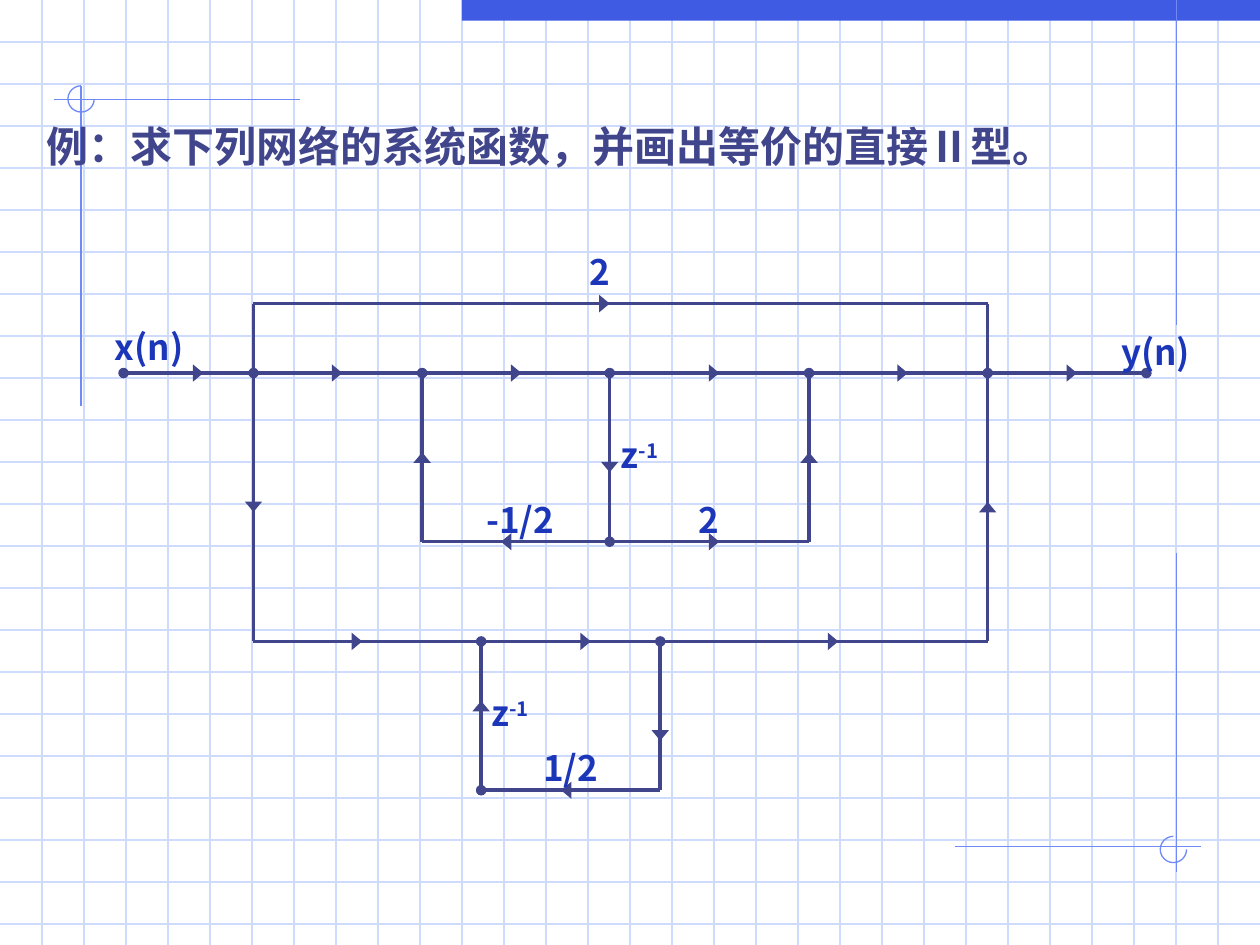
from dataclasses import dataclass

from lxml import etree
from pptx import Presentation
from pptx import util as u
from pptx.dml.color import RGBColor
from pptx.enum import shapes, text
from pptx.oxml.ns import qn

GRID_BLUE = RGBColor(0xCF, 0xDB, 0xFD)
ORNAMENT_BLUE = RGBColor(0x6F, 0x89, 0xF7)
BAR_BLUE = RGBColor(0x3F, 0x5A, 0xE3)
INK = RGBColor(0x40, 0x45, 0x8C)
LABEL_BLUE = RGBColor(0x1C, 0x36, 0xBA)
CJK_FONT = "Noto Sans CJK SC"

# Slide and grid, in centimetres
WIDTH, HEIGHT = 25.4, 19.05
GRID_STEP = 2.54 / 3

# Columns and rows of the signal-flow graph
X_IN, X_SPLIT, X_LEFT, X_MID, X_RIGHT, X_SUM, X_OUT = (
    2.49, 5.11, 8.51, 12.29, 16.31, 19.91, 23.11)
X_LOOP_LEFT, X_LOOP_RIGHT = 9.7, 13.31
Y_TOP, Y_MAIN, Y_INNER, Y_LOWER, Y_LOOP = 6.12, 7.52, 10.92, 12.93, 15.93
ARROW_LENGTH = 0.6


@dataclass
class Line:
    x1: float
    y1: float
    x2: float
    y2: float
    head: str = ""
    tail: str = ""


@dataclass
class Arrow:
    """A direction mark ending at (x, y); dx and dy give its direction."""
    x: float
    y: float
    dx: int = 0
    dy: int = 0


@dataclass
class Label:
    words: str
    left: float
    top: float
    width: float = 2.79
    superscript: str = ""


def draw_line(slide, line: Line, color: RGBColor, points: float = 0.75) -> None:
    shape = slide.shapes.add_connector(
        shapes.MSO_CONNECTOR.STRAIGHT,
        *(u.Cm(value) for value in (line.x1, line.y1, line.x2, line.y2)))
    shape.line.color.rgb = color
    shape.line.width = u.Pt(points)
    for tag, kind in (("a:headEnd", line.head), ("a:tailEnd", line.tail)):
        if kind:
            width = "lg" if kind == "triangle" else "med"
            etree.SubElement(shape.line._get_or_add_ln(), qn(tag),
                             type=kind, w=width, len="med")
    etree.SubElement(shape._element.spPr, qn("a:effectLst"))


def draw_arrow(slide, arrow: Arrow) -> None:
    start_x = arrow.x - arrow.dx * ARROW_LENGTH
    start_y = arrow.y - arrow.dy * ARROW_LENGTH
    draw_line(slide, Line(start_x, start_y, arrow.x, arrow.y, tail="triangle"), INK)


def draw_arc(slide, left: float, top: float) -> None:
    shape = slide.shapes.add_shape(
        shapes.MSO_SHAPE.ARC, u.Cm(left), u.Cm(top), u.Cm(0.53), u.Cm(0.53))
    shape.shadow.inherit = False
    shape.adjustments[0] = 0
    shape.adjustments[1] = 162  # 270 degrees in units of 100000 / 60000
    shape.fill.background()
    shape.line.color.rgb = ORNAMENT_BLUE
    shape.line.width = u.Pt(0.75)


def add_frame(slide, left: float, top: float, width: float, height: float):
    shape = slide.shapes.add_textbox(*(u.Cm(v) for v in (left, top, width, height)))
    shape.text_frame.word_wrap = True
    return shape.text_frame


def add_run(paragraph, words: str, color: RGBColor, size: float, name: str = CJK_FONT):
    run = paragraph.add_run()
    run.text = words
    formats = {"size": u.Pt(size), "bold": True, "name": name}
    for attribute, value in formats.items():
        setattr(run.font, attribute, value)
    run.font.color.rgb = color
    etree.SubElement(run._r.get_or_add_rPr(), qn("a:ea"), typeface=CJK_FONT)
    return run


def draw_label(slide, label: Label) -> None:
    frame = add_frame(slide, label.left, label.top, label.width, 1.12)
    frame.auto_size = text.MSO_AUTO_SIZE.SHAPE_TO_FIT_TEXT
    paragraph = frame.paragraphs[0]
    paragraph.alignment = text.PP_ALIGN.CENTER
    add_run(paragraph, label.words, LABEL_BLUE, 20)
    if label.superscript:
        run = add_run(paragraph, label.superscript, LABEL_BLUE, 20)
        run._r.get_or_add_rPr().set("baseline", "30000")


ORNAMENT_LINES = [
    Line(6.05, 2, 1.09, 2), Line(1.63, 1.73, 1.63, 8.18),
    Line(23.71, 0, 23.71, 6.55),
    Line(24.21, 17.07, 19.25, 17.07), Line(23.71, 11.15, 23.71, 17.58),
]
BRANCHES = [
    Line(X_IN, Y_MAIN, X_OUT, Y_MAIN, "oval", "oval"),
    # Upper path
    Line(X_SPLIT, Y_MAIN, X_SPLIT, Y_TOP),
    Line(X_SPLIT, Y_TOP, X_SUM, Y_TOP),
    Line(X_SUM, Y_TOP, X_SUM, Y_MAIN),
    # Lower path
    Line(X_SPLIT, Y_MAIN, X_SPLIT, Y_LOWER, "oval"),
    Line(X_SPLIT, Y_LOWER, X_SUM, Y_LOWER),
    Line(X_SUM, Y_MAIN, X_SUM, Y_LOWER, "oval"),
    # Inner section
    Line(X_LEFT, Y_MAIN, X_LEFT, Y_INNER, "oval"),
    Line(X_LEFT, Y_INNER, X_RIGHT, Y_INNER),
    Line(X_RIGHT, Y_INNER, X_RIGHT, Y_MAIN, tail="oval"),
    Line(X_MID, Y_INNER, X_MID, Y_MAIN, "oval", "oval"),
    # Lower feedback loop
    Line(X_LOOP_LEFT, Y_LOWER, X_LOOP_LEFT, Y_LOOP, "oval", "oval"),
    Line(X_LOOP_RIGHT, Y_LOWER, X_LOOP_RIGHT, Y_LOOP, "oval"),
    Line(X_LOOP_LEFT, Y_LOOP, X_LOOP_RIGHT, Y_LOOP),
]
ARROWS = [
    *(Arrow(x, Y_MAIN, dx=1) for x in (4.1, 6.9, 10.51, 14.5, 18.3, 21.71)),
    *(Arrow(x, Y_LOWER, dx=1) for x in (7.3, 11.91, 16.9)),
    Arrow(12.29, Y_TOP, dx=1), Arrow(14.5, Y_INNER, dx=1),
    Arrow(10.1, Y_INNER, dx=-1), Arrow(11.31, Y_LOOP, dx=-1),
    Arrow(X_SPLIT, 10.32, dy=1), Arrow(X_MID, 9.52, dy=1),
    Arrow(X_LOOP_RIGHT, 14.93, dy=1),
    Arrow(X_LEFT, 9.12, dy=-1), Arrow(X_RIGHT, 9.12, dy=-1),
    Arrow(X_LOOP_LEFT, 14.13, dy=-1), Arrow(X_SUM, 10.12, dy=-1),
]
LABELS = [
    Label("x(n)", 1.9, 6.43, 2.21), Label("y(n)", 21.9, 6.53),
    Label("2", 10.69, 4.93), Label("2", 12.9, 9.93),
    Label("-1/2", 9.09, 9.93), Label("1/2", 10.11, 14.93),
    Label("z", 11.5, 8.62, superscript="-1"),
    Label("z", 8.89, 13.82, superscript="-1"),
]


def main() -> None:
    presentation = Presentation()
    presentation.slide_width, presentation.slide_height = u.Cm(WIDTH), u.Cm(HEIGHT)
    slide = presentation.slides.add_slide(presentation.slide_layouts[6])

    # Background grid
    for row in range(1, 23):
        draw_line(slide, Line(0, row * GRID_STEP, WIDTH, row * GRID_STEP), GRID_BLUE)
    for column in range(1, 30):
        draw_line(slide, Line(column * GRID_STEP, 0, column * GRID_STEP, HEIGHT), GRID_BLUE)

    # Top bar and corner ornaments
    bar = slide.shapes.add_shape(
        shapes.MSO_SHAPE.RECTANGLE, u.Cm(9.31), 0, u.Cm(16.09), u.Cm(0.42))
    bar.shadow.inherit = False
    bar.fill.solid()
    bar.fill.fore_color.rgb = BAR_BLUE
    bar.line.fill.background()
    for line in ORNAMENT_LINES:
        draw_line(slide, line, ORNAMENT_BLUE)
    draw_arc(slide, 1.37, 1.73)
    draw_arc(slide, 23.39, 16.86)

    # Problem statement
    title = add_frame(slide, 0.69, 2.31, 24.21, 16).paragraphs[0]
    for words, name in (("例：求下列网络的系统函数，并画出等价的直接", "Karla"),
                        ("Ⅱ型", CJK_FONT), ("。", "Karla")):
        add_run(title, words, INK, 24, name)

    # Signal-flow graph
    for branch in BRANCHES:
        draw_line(slide, branch, INK, 2)
    for arrow in ARROWS:
        draw_arrow(slide, arrow)
    for label in LABELS:
        draw_label(slide, label)

    presentation.save("out.pptx")


if __name__ == "__main__":
    main()
